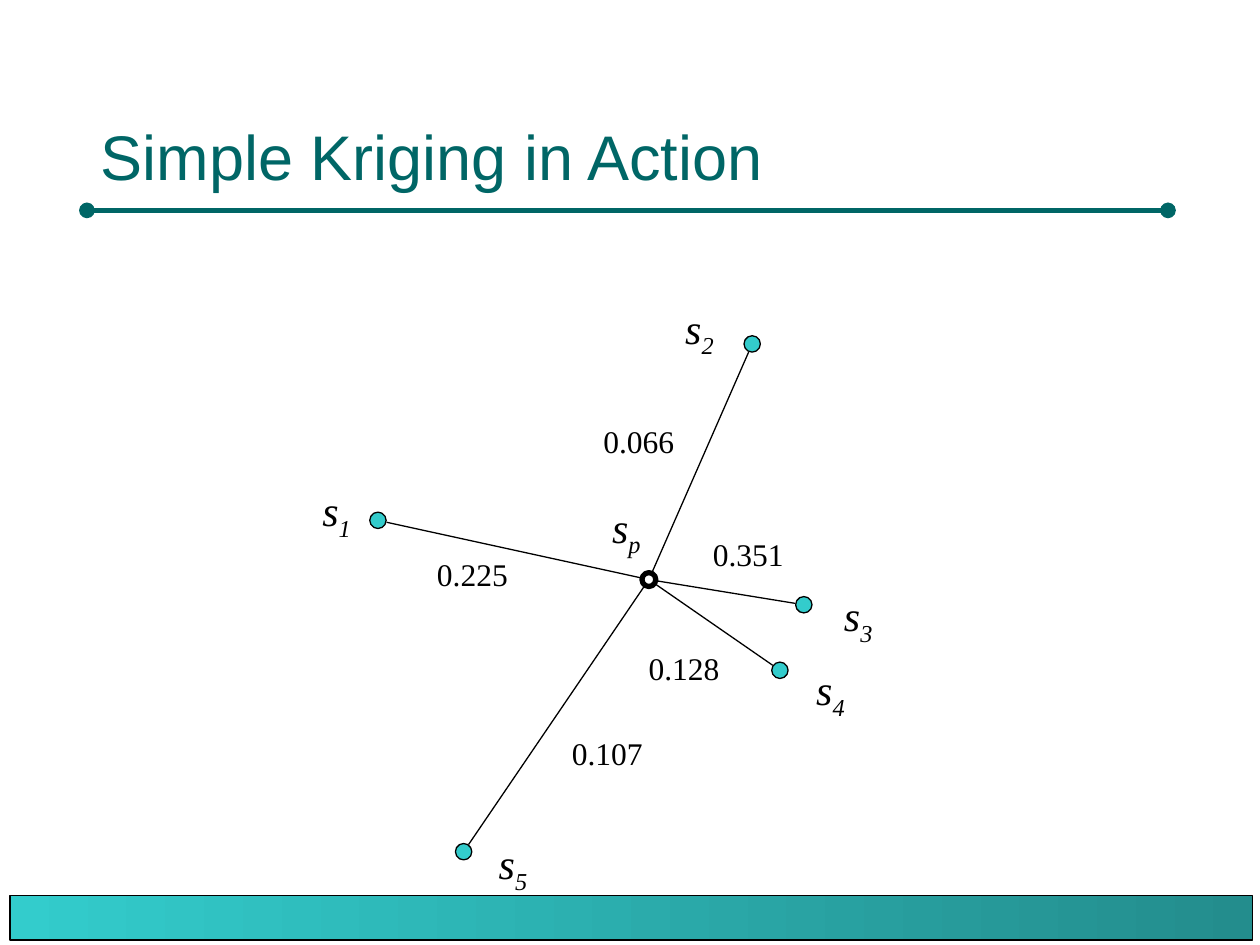
from math import hypot

from lxml.etree import SubElement
from pptx import Presentation
from pptx.dml.color import RGBColor
from pptx.enum.shapes import MSO_CONNECTOR as CONNECTOR, MSO_SHAPE as SHAPE
from pptx.enum.text import (
    MSO_ANCHOR as ANCHOR, MSO_AUTO_SIZE as AUTO_SIZE, PP_ALIGN as ALIGN)
from pptx.oxml.ns import qn
from pptx.util import Inches, Pt

TITLE = "Simple Kriging in Action"
DARK_TEAL, TEAL, BAR_END, BLACK = "006666", "33CCCC", "238D8D", "000000"
SERIF = "Times New Roman"

# Subscript, point centre, label corner, weight, weight corner
SAMPLES = [
    ("1", (3.0, 4.13), (2.46, 3.8), "0.225", (3.37, 4.36)),
    ("2", (5.97, 2.73), (5.34, 2.35), "0.066", (4.69, 3.3)),
    ("3", (6.38, 4.8), (6.6, 4.63), "0.351", (5.56, 4.2)),
    ("4", (6.19, 5.32), (6.38, 5.22), "0.128", (5.05, 5.1)),
    ("5", (3.68, 6.76), (3.86, 6.6), "0.107", (4.44, 5.78)),
]
TARGET, TARGET_LABEL = (5.15, 4.6), (4.76, 3.93)
SAMPLE_SIZE, TARGET_SIZE = 0.13, 0.11
SYMBOL_BOX, WEIGHT_BOX = (0.46, 0.56), (0.76, 0.4)
LINK_GAP = 0.07


def rgb(value):
    return RGBColor.from_string(value)


def set_line(shape, color, width):
    shape.line.color.rgb = rgb(color)
    shape.line.width = Pt(width)


def add_line(slide, start, end, color, width):
    line = slide.shapes.add_connector(
        CONNECTOR.STRAIGHT, *(Inches(v) for v in (*start, *end)))
    set_line(line, color, width)
    SubElement(line._element.spPr, qn("a:effectLst"))
    return line


def add_point(slide, center, size, width, fill=None):
    x, y = center
    point = slide.shapes.add_shape(
        SHAPE.OVAL, Inches(x - size / 2), Inches(y - size / 2),
        Inches(size), Inches(size))
    point.shadow.inherit = False
    if fill:
        point.fill.solid()
        point.fill.fore_color.rgb = rgb(fill)
    else:
        point.fill.background()
    set_line(point, BLACK, width)


def add_label(slide, corner, box_size, text, size, subscript=""):
    """Add a serif label, italic when it carries a subscript."""
    box = slide.shapes.add_textbox(*(Inches(v) for v in (*corner, *box_size)))
    frame = box.text_frame
    frame.word_wrap = False
    frame.auto_size = AUTO_SIZE.NONE
    paragraph = frame.paragraphs[0]
    paragraph.text = text
    paragraph.alignment = ALIGN.LEFT
    if subscript:
        lowered = paragraph.add_run()
        lowered.text = subscript
        lowered._r.get_or_add_rPr().set("baseline", "-25000")
    for run in paragraph.runs:
        run.font.name = SERIF
        run.font.size = Pt(size)
        run.font.italic = bool(subscript)
        run.font.color.rgb = rgb(BLACK)


def add_symbol(slide, corner, subscript):
    add_label(slide, corner, SYMBOL_BOX, "s", 24, subscript)


def toward(start, end, distance):
    """Return the point at a distance from start on the way to end."""
    dx, dy = end[0] - start[0], end[1] - start[1]
    share = distance / hypot(dx, dy)
    return start[0] + dx * share, start[1] + dy * share


def add_frame(slide):
    rule = add_line(slide, (0.69, 1.67), (9.27, 1.67), DARK_TEAL, 3)
    outline = rule.line._get_or_add_ln()
    for end in ("a:headEnd", "a:tailEnd"):
        SubElement(outline, qn(end), type="oval")

    bar = slide.shapes.add_shape(
        SHAPE.RECTANGLE, Inches(0.08), Inches(7.11), Inches(9.86), Inches(0.35))
    bar.shadow.inherit = False
    bar.fill.gradient()
    bar.fill.gradient_angle = 0
    for stop, color in zip(bar.fill.gradient_stops, (TEAL, BAR_END)):
        stop.color.rgb = rgb(color)
    set_line(bar, BLACK, 0.75)


def add_title(slide):
    title = slide.shapes.title
    title.left, title.top = Inches(0.7), Inches(0.33)
    title.width, title.height = Inches(8.58), Inches(1.25)
    frame = title.text_frame
    frame.text = TITLE
    frame.word_wrap = True
    frame.auto_size = AUTO_SIZE.NONE
    frame.vertical_anchor = ANCHOR.BOTTOM
    paragraph = frame.paragraphs[0]
    paragraph.alignment = ALIGN.LEFT
    font = paragraph.runs[0].font
    font.name = "Arial"
    font.size = Pt(36)
    font.color.rgb = rgb(DARK_TEAL)


def main():
    deck = Presentation()
    deck.slide_width, deck.slide_height = Inches(10), Inches(7.5)
    slide = deck.slides.add_slide(deck.slide_layouts[5])
    add_frame(slide)
    add_title(slide)

    for subscript, center, label_corner, weight, weight_corner in SAMPLES:
        add_point(slide, center, SAMPLE_SIZE, 0.75, TEAL)
        add_line(slide, toward(center, TARGET, LINK_GAP),
                 toward(TARGET, center, LINK_GAP), BLACK, 0.75)
        add_symbol(slide, label_corner, subscript)
        add_label(slide, weight_corner, WEIGHT_BOX, weight, 18)
    add_point(slide, TARGET, TARGET_SIZE, 3)
    add_symbol(slide, TARGET_LABEL, "p")

    deck.save("out.pptx")


if __name__ == "__main__":
    main()
